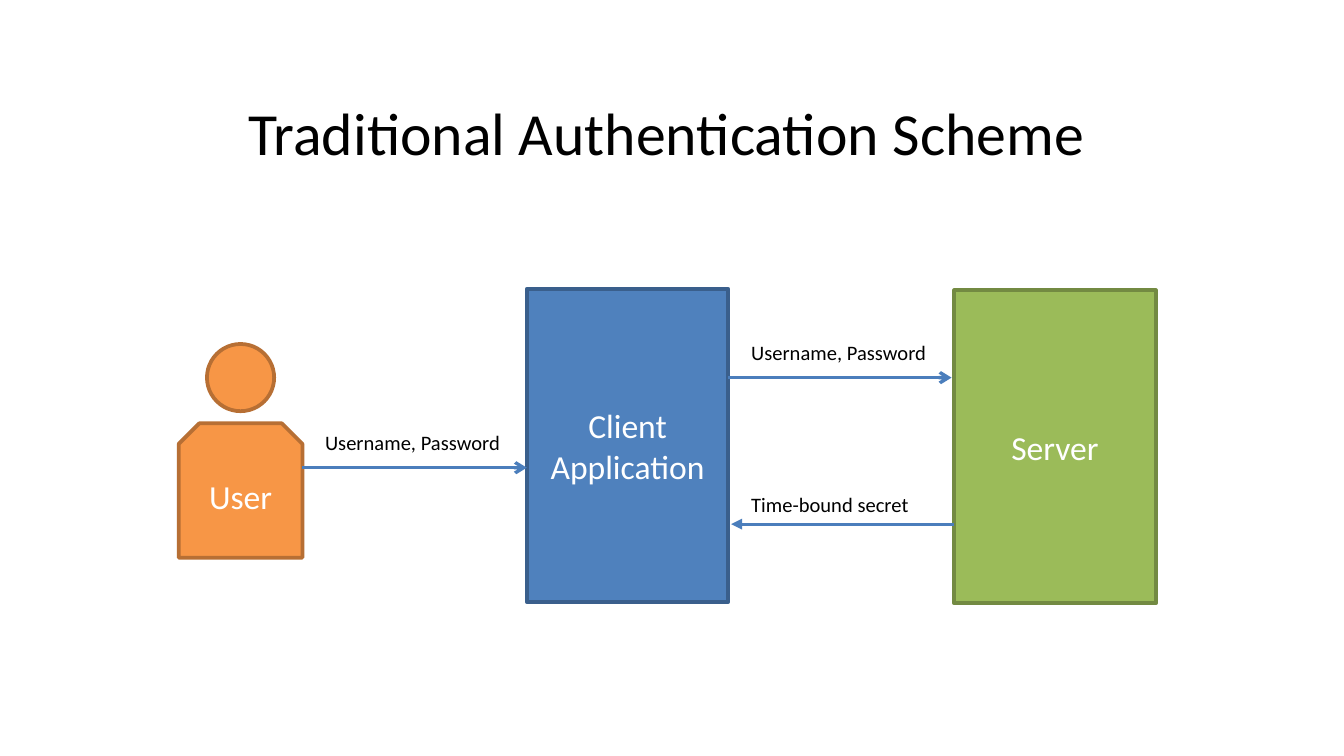
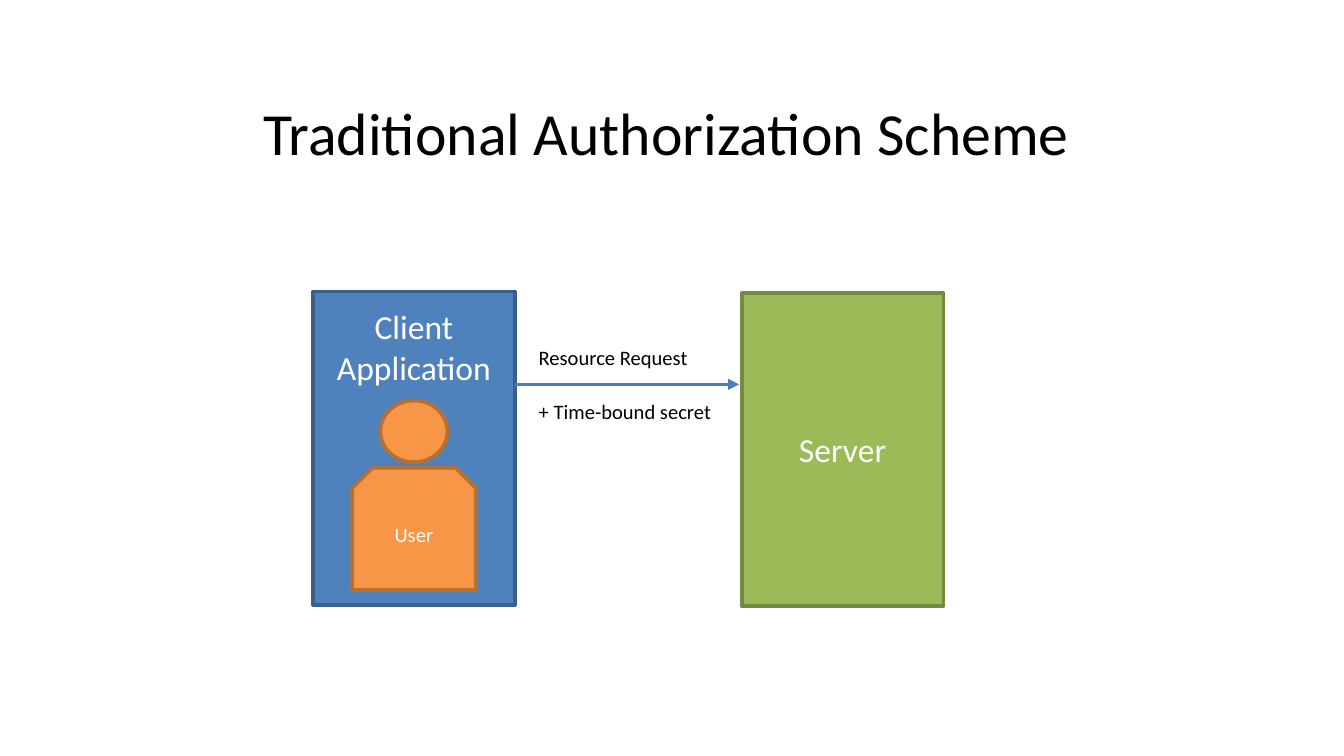
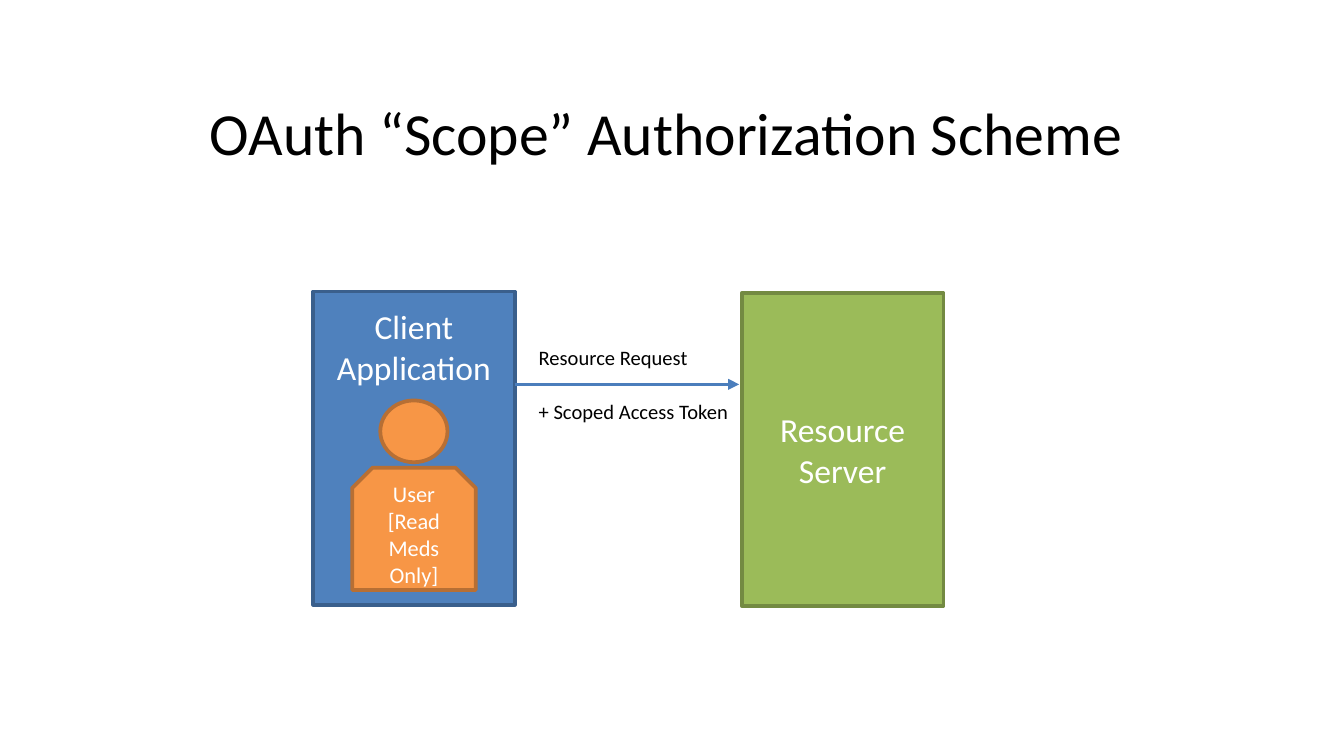
import pptx
import pptx.dml.color
import pptx.enum.shapes
import pptx.enum.text
import pptx.util
from lxml import etree
from pptx.oxml.ns import qn

Inches = pptx.util.Inches
Pt = pptx.util.Pt
RGBColor = pptx.dml.color.RGBColor
Shape = pptx.enum.shapes.MSO_SHAPE
Anchor = pptx.enum.text.MSO_ANCHOR
Align = pptx.enum.text.PP_ALIGN

FONT = "Calibri"
BLACK = RGBColor(0x00, 0x00, 0x00)
WHITE = RGBColor(0xFF, 0xFF, 0xFF)
ARROW_BLUE = RGBColor(0x4B, 0x7E, 0xBC)
BLUE = (RGBColor(0x4F, 0x81, 0xBD), RGBColor(0x3A, 0x5F, 0x8C))
GREEN = (RGBColor(0x9B, 0xBB, 0x59), RGBColor(0x73, 0x8A, 0x42))
ORANGE = (RGBColor(0xF7, 0x96, 0x46), RGBColor(0xB7, 0x6F, 0x34))

SYSTEM_WIDTH, SYSTEM_HEIGHT = 1.5, 2.33
HEAD_WIDTH, BODY_WIDTH = 0.5, 0.92
LABEL_HEIGHT = 0.29


def write_lines(frame, lines, size, color, align):
    for index, line in enumerate(lines):
        para = frame.paragraphs[0] if index == 0 else frame.add_paragraph()
        para.text = line
        para.alignment = align
        para.font.name = FONT
        para.font.size = Pt(size)
        para.font.color.rgb = color


def add_page(deck, title):
    page = deck.slides.add_slide(deck.slide_layouts[6])
    box = page.shapes.add_textbox(Inches(0.5), Inches(0.63), Inches(8.92), Inches(4.41))
    box.text_frame.word_wrap = True
    box.text_frame.vertical_anchor = Anchor.TOP
    box.text_frame.margin_top = Inches(0.08)
    write_lines(box.text_frame, [title], 32, BLACK, Align.CENTER)
    return page


def add_block(page, kind, left, top, width, height, colors, lines=(), size=18):
    block = page.shapes.add_shape(kind, Inches(left), Inches(top), Inches(width), Inches(height))
    fill, outline = colors
    block.shadow.inherit = False
    block.fill.solid()
    block.fill.fore_color.rgb = fill
    block.line.color.rgb = outline
    block.line.width = Pt(2)
    block.text_frame.vertical_anchor = Anchor.MIDDLE
    write_lines(block.text_frame, lines, size, WHITE, Align.CENTER)
    return block


def add_system(page, left, top, colors, lines):
    return add_block(page, Shape.RECTANGLE, left, top, SYSTEM_WIDTH, SYSTEM_HEIGHT, colors, lines)


def add_user(page, left, head_top, head_height, body_top, body_height, lines, size):
    head_left = left + (BODY_WIDTH - HEAD_WIDTH) / 2
    add_block(page, Shape.OVAL, head_left, head_top, HEAD_WIDTH, head_height, ORANGE)
    add_block(page, Shape.SNIP_2_SAME_RECTANGLE, left, body_top, BODY_WIDTH, body_height,
              ORANGE, lines, size)


def add_arrow(page, start, end, level, tip="triangle"):
    arrow = page.shapes.add_connector(
        pptx.enum.shapes.MSO_CONNECTOR.STRAIGHT,
        Inches(start), Inches(level), Inches(end), Inches(level))
    arrow.line.color.rgb = ARROW_BLUE
    arrow.line.width = Pt(1.75)
    properties = arrow._element.spPr
    etree.SubElement(properties.find(qn("a:ln")), qn("a:tailEnd"), type=tip)
    etree.SubElement(properties, qn("a:effectLst"))


def add_label(page, left, top, width, text):
    box = page.shapes.add_textbox(Inches(left), Inches(top), Inches(width), Inches(LABEL_HEIGHT))
    box.text_frame.word_wrap = False
    box.text_frame.auto_size = pptx.enum.text.MSO_AUTO_SIZE.SHAPE_TO_FIT_TEXT
    write_lines(box.text_frame, [text], 11, BLACK, Align.LEFT)


def add_authentication_page(deck):
    page = add_page(deck, "Traditional Authentication Scheme")
    add_system(page, 3.92, 2.15, BLUE, ["Client", "Application"])
    add_system(page, 7.1, 2.16, GREEN, ["Server"])
    add_user(page, 1.33, 2.56, 0.5, 3.15, 1, ["User"], 18)
    add_arrow(page, 2.25, 3.92, 3.48, "arrow")
    add_label(page, 2.32, 3.15, 1.52, "Username, Password")
    add_arrow(page, 5.42, 7.08, 2.81, "arrow")
    add_label(page, 5.49, 2.48, 1.52, "Username, Password")
    add_arrow(page, 7.1, 5.44, 3.9)
    add_label(page, 5.49, 3.61, 1.38, "Time-bound secret")


def add_authorization_page(deck, title, server, user, user_size, secret, secret_width):
    page = add_page(deck, title)
    client = add_system(page, 2.33, 2.17, BLUE, ["Client", "Application"])
    client.text_frame.vertical_anchor = Anchor.TOP
    client.text_frame.margin_top = Inches(0.11)
    add_system(page, 5.52, 2.18, GREEN, server)
    add_user(page, 2.62, 2.98, 0.46, 3.48, 0.91, user, user_size)
    add_arrow(page, 3.83, 5.5, 2.86)
    add_label(page, 3.91, 2.52, 1.33, "Resource Request")
    add_label(page, 3.91, 2.92, secret_width, secret)


def main():
    deck = pptx.Presentation()
    deck.slide_width = Inches(10)
    deck.slide_height = deck.slide_width * 9 // 16
    add_authentication_page(deck)
    add_authorization_page(deck, "Traditional Authorization Scheme", ["Server"],
                           ["User"], 11, "+ Time-bound secret", 1.49)
    add_authorization_page(deck, "OAuth “Scope” Authorization Scheme", ["Resource", "Server"],
                           ["User", "[Read", "Meds", "Only]"], 12,
                           "+ Scoped Access Token", 1.64)
    deck.save("out.pptx")


if __name__ == "__main__":
    main()
